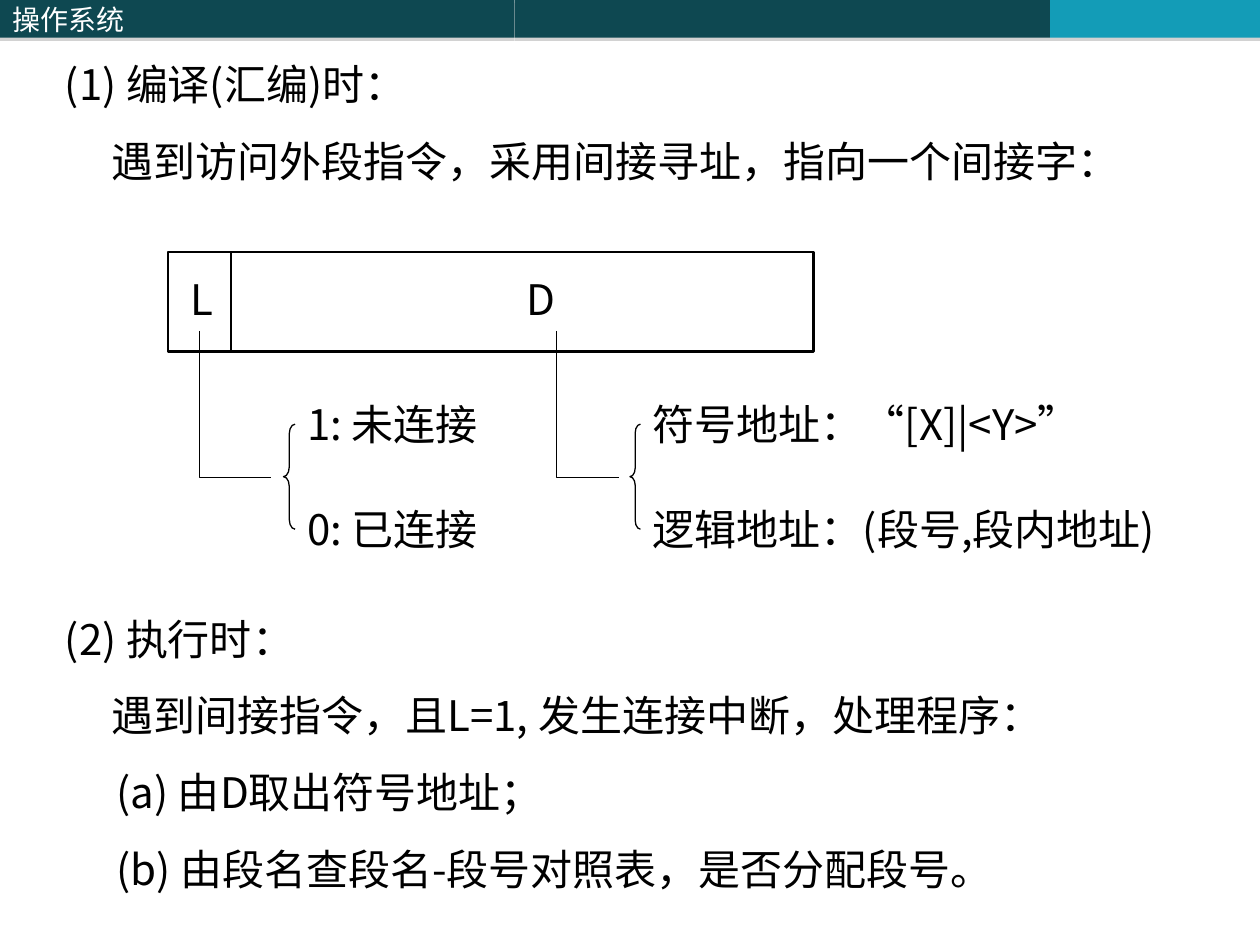
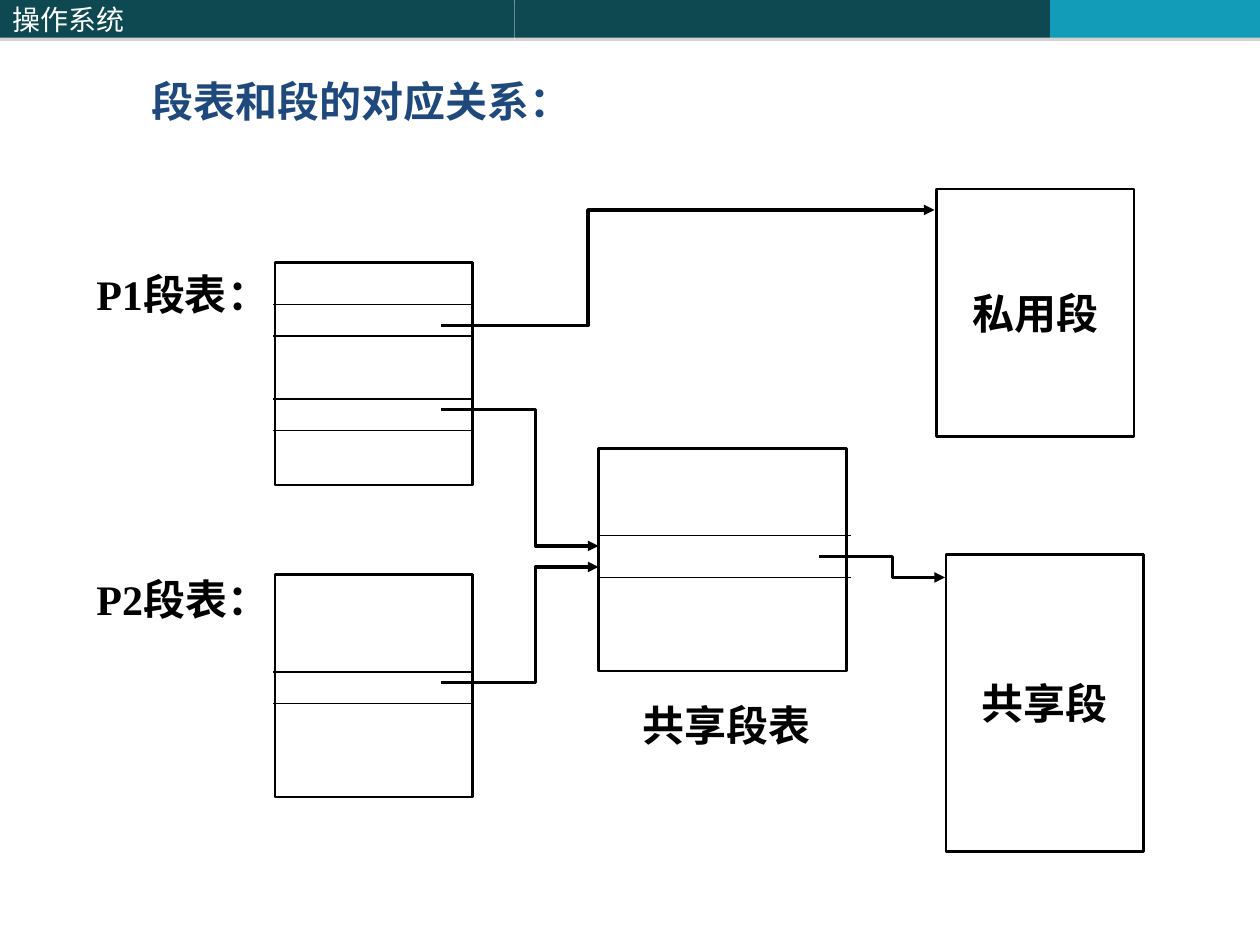
"""Build two slides on linking segments and sharing them."""
from lxml import etree
from pptx import Presentation
from pptx.dml.color import RGBColor
from pptx.enum.shapes import MSO_CONNECTOR, MSO_SHAPE
from pptx.enum.text import MSO_ANCHOR, MSO_AUTO_SIZE, PP_ALIGN
from pptx.oxml.ns import qn
from pptx.util import Inches, Pt

RECT, BRACE = MSO_SHAPE.RECTANGLE, MSO_SHAPE.LEFT_BRACE
LINE = MSO_CONNECTOR.STRAIGHT
TOP, MIDDLE = MSO_ANCHOR.TOP, MSO_ANCHOR.MIDDLE
LEFT, CENTER = PP_ALIGN.LEFT, PP_ALIGN.CENTER
GROW, FIXED = MSO_AUTO_SIZE.SHAPE_TO_FIT_TEXT, MSO_AUTO_SIZE.NONE
SANS, SERIF = "Noto Sans CJK SC", "Times New Roman"
BLACK, WHITE, NAVY, TEAL, AQUA, GRAY = (
    "000000", "FFFFFF", "1F497D", "0E4851", "139CB7", "808080")
COLS = 120
hue = RGBColor.from_string

deck = Presentation()
deck.slide_width, deck.slide_height = Inches(10), Inches(7.5)


def grid(*spots):
    """Turn grid columns or rows into slide lengths."""
    return [round(spot * deck.slide_width / COLS) for spot in spots]


def write(frame, rows, name=SANS, size=24, color=BLACK, bold=False,
          align=LEFT, **form):
    """Fill a text frame with rows of text and left indent in inches."""
    look = {"word_wrap": True, "auto_size": GROW, "vertical_anchor": TOP}
    for key, value in (look | form).items():
        setattr(frame, key, value)
    for num, (text, indent) in enumerate(rows):
        para = frame.add_paragraph() if num else frame.paragraphs[0]
        para.alignment = align
        para.space_before = Pt(15 if num else 0)
        if indent:
            props = para._p.get_or_add_pPr()
            props.set("marL", str(Inches(indent)))
            props.set("indent", "0")
        run = para.add_run()
        run.text = text
        for key, value in {"name": name, "size": Pt(size), "bold": bold}.items():
            setattr(run.font, key, value)
        run.font.color.rgb = hue(color)
        etree.SubElement(run._r.get_or_add_rPr(), qn("a:ea"), typeface=SANS)


link = deck.slides.add_slide(deck.slide_layouts[6])
share = deck.slides.add_slide(deck.slide_layouts[5])

# The bands live on the master, behind every slide
tree = deck.slide_master.element.cSld.spTree
bands = [(0, 49, TEAL, "操作系统"), (49, 51, TEAL, ""), (100, 20, AQUA, "")]
for num, (left, width, color, text) in enumerate(bands):
    band = link.shapes.add_shape(RECT, *grid(left, 0, width, 3.6))
    band.fill.solid()
    band.fill.fore_color.rgb = hue(color)
    band.line.fill.background()
    if text:
        write(band.text_frame, [(text, 0)], size=16, color=WHITE,
              auto_size=FIXED, vertical_anchor=MIDDLE)
    glow = etree.SubElement(band.element.spPr, qn("a:effectLst"))
    cast = etree.SubElement(glow, qn("a:outerShdw"), blurRad="0",
                            dist=str(Pt(1.8)), dir="5400000",
                            algn="ctr", rotWithShape="0")
    tone = etree.SubElement(cast, qn("a:srgbClr"), val=GRAY)
    etree.SubElement(tone, qn("a:alpha"), val="35000")
    band.element.nvSpPr.cNvPr.set("id", str(100 + num))
    tree.append(band.element)

notes = [
    ((5, 5, 111, 13.3), [
        ("(1) 编译(汇编)时：", 0),
        ("遇到访问外段指令，采用间接寻址，指向一个间接字：", 0.37)]),
    ((17, 25.5, 4, 6), [("L", 0)]),
    ((49, 25.5, 8, 6), [("D", 0)]),
    ((28.1, 37.4, 22.8, 6), [("1: 未连接", 0)]),
    ((28.1, 47.4, 22.8, 6), [("0: 已连接", 0)]),
    ((61, 37.4, 46, 6), [("符号地址：“[X]|<Y>”", 0)]),
    ((61, 47.4, 54, 10.8), [("逻辑地址：(段号,段内地址)", 0)]),
    ((5, 57.8, 111, 28), [
        ("(2) 执行时：", 0),
        ("遇到间接指令，且L=1, 发生连接中断，处理程序：", 0.37),
        ("(a) 由D取出符号地址；", 0.41),
        ("(b) 由段名查段名-段号对照表，是否分配段号。", 0.41)]),
]
for spot, rows in notes:
    write(link.shapes.add_textbox(*grid(*spot)).text_frame, rows)

title = share.shapes.title
title.left, title.top, title.width, title.height = grid(5.2, 6.6, 84, 6)
write(title.text_frame, [("段表和段的对应关系：", 0.67)],
      name=SERIF, color=NAVY, bold=True)
tags = [((60, 66, 20, 6), "共享段表"), ((8, 25, 17, 6), "P1段表："),
        ((8, 54, 16, 6), "P2段表：")]
for spot, text in tags:
    write(share.shapes.add_textbox(*grid(*spot)).text_frame, [(text, 0)],
          name=SERIF, bold=True)

drawn = []
boxes = [
    (link, (16, 24, 61.5, 9.5), ""),
    (share, (26.2, 25, 18.8, 21.2), ""),
    (share, (26.2, 54.7, 18.8, 21.2), ""),
    (share, (57, 42.7, 23.6, 21.2), ""),
    (share, (89.2, 18, 18.8, 23.6), "私用段"),
    (share, (90.1, 52.8, 18.8, 28.3), "共享段"),
]
for slide, spot, text in boxes:
    box = slide.shapes.add_shape(RECT, *grid(*spot))
    if text:
        write(box.text_frame, [(text, 0)], name=SERIF, bold=True, align=CENTER,
              word_wrap=False, auto_size=FIXED, vertical_anchor=MIDDLE)
    drawn.append((box, 1.5, False))

rules = [(link, 22, 24, 22, 33.5)]
rules += [(share, 26, row, 45, row) for row in (29, 32, 38, 41, 64, 67)]
rules += [(share, 57, row, 81, row) for row in (51, 55)]
for slide, *ends in rules:
    drawn.append((slide.shapes.add_connector(LINE, *grid(*ends)), 0.75, False))

for left, width in ((27, 1.1), (60, 1)):
    brace = link.shapes.add_shape(BRACE, *grid(left, 40.4, width, 10))
    brace.adjustments[0] = 0.83
    drawn.append((brace, 0.75, False))

bends = [(link, [(left, 31.5), (left, 45.5), (right, 45.5)])
         for left, right in ((19, 25.8), (53, 59))]
routes = [(42, 31, 56, 20, 89), (42, 39, 51, 52, 57),
          (42, 65, 51, 54, 57), (78, 53, 85, 55, 90)]
bends += [(share, [(left, start), (turn, start), (turn, end), (right, end)])
          for left, start, turn, end, right in routes]
for slide, points in bends:
    first, *rest = [grid(*point) for point in points]
    pen = slide.shapes.build_freeform(*first)
    pen.add_line_segments(rest, close=False)
    arrow = slide is share
    drawn.append((pen.convert_to_shape(), 2 if arrow else 0.75, arrow))

for item, width, arrow in drawn:
    if hasattr(item, "fill"):
        item.fill.background()
    item.line.color.rgb = hue(BLACK)
    item.line.width = Pt(width)
    props = item.element.spPr
    if arrow:
        etree.SubElement(props.find(qn("a:ln")), qn("a:tailEnd"), type="triangle")
    etree.SubElement(props, qn("a:effectLst"))

deck.save("out.pptx")
